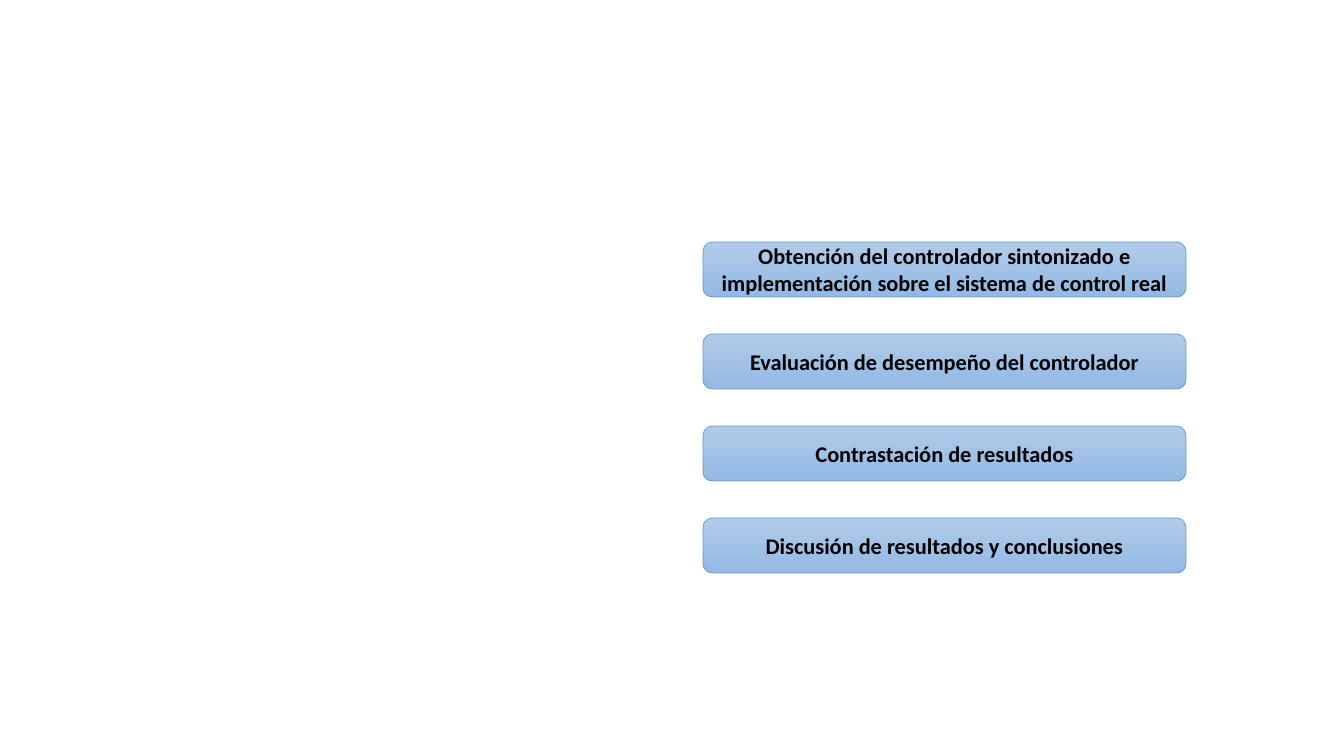
"""Build a slide with a column of four research stages."""
from pptx import Presentation
from pptx.dml.color import RGBColor
from pptx.enum.shapes import MSO_SHAPE
from pptx.enum.text import MSO_ANCHOR, PP_ALIGN
from pptx.util import Pt

STAGES = [
    "Obtención del controlador sintonizado e implementación sobre el sistema de control real",
    "Evaluación de desempeño del controlador",
    "Contrastación de resultados",
    "Discusión de resultados y conclusiones",
]
SLIDE_WIDTH, SLIDE_HEIGHT = 1344, 756
LEFT, TOP, WIDTH, HEIGHT, STEP = 703, 242, 483, 55, 92
GRADIENT = ("B1CBE9", "93B9E4")
OUTLINE, TEXT = "5B9BD5", "000000"


def px(length):
    return round(length * 12192000 / SLIDE_WIDTH)


def color(value):
    return RGBColor.from_string(value)


def add_stage(slide, text, top):
    shape = slide.shapes.add_shape(
        MSO_SHAPE.FLOWCHART_ALTERNATE_PROCESS, px(LEFT), px(top), px(WIDTH), px(HEIGHT)
    )
    shape.shadow.inherit = False
    shape.fill.gradient()
    shape.fill.gradient_angle = 270
    for stop, value in zip(shape.fill.gradient_stops, GRADIENT):
        stop.color.rgb = color(value)
    shape.line.color.rgb = color(OUTLINE)
    shape.line.width = Pt(0.5)

    text_frame = shape.text_frame
    text_frame.text = text
    text_frame.word_wrap = True
    text_frame.vertical_anchor = MSO_ANCHOR.MIDDLE
    paragraph = text_frame.paragraphs[0]
    paragraph.alignment = PP_ALIGN.CENTER
    font = paragraph.runs[0].font
    font.name = "Calibri"
    font.size = Pt(16)
    font.bold = True
    font.color.rgb = color(TEXT)


def main():
    presentation = Presentation()
    presentation.slide_width = px(SLIDE_WIDTH)
    presentation.slide_height = px(SLIDE_HEIGHT)
    slide = presentation.slides.add_slide(presentation.slide_layouts[6])
    for index, text in enumerate(STAGES):
        add_stage(slide, text, TOP + index * STEP)
    presentation.save("out.pptx")


if __name__ == "__main__":
    main()
